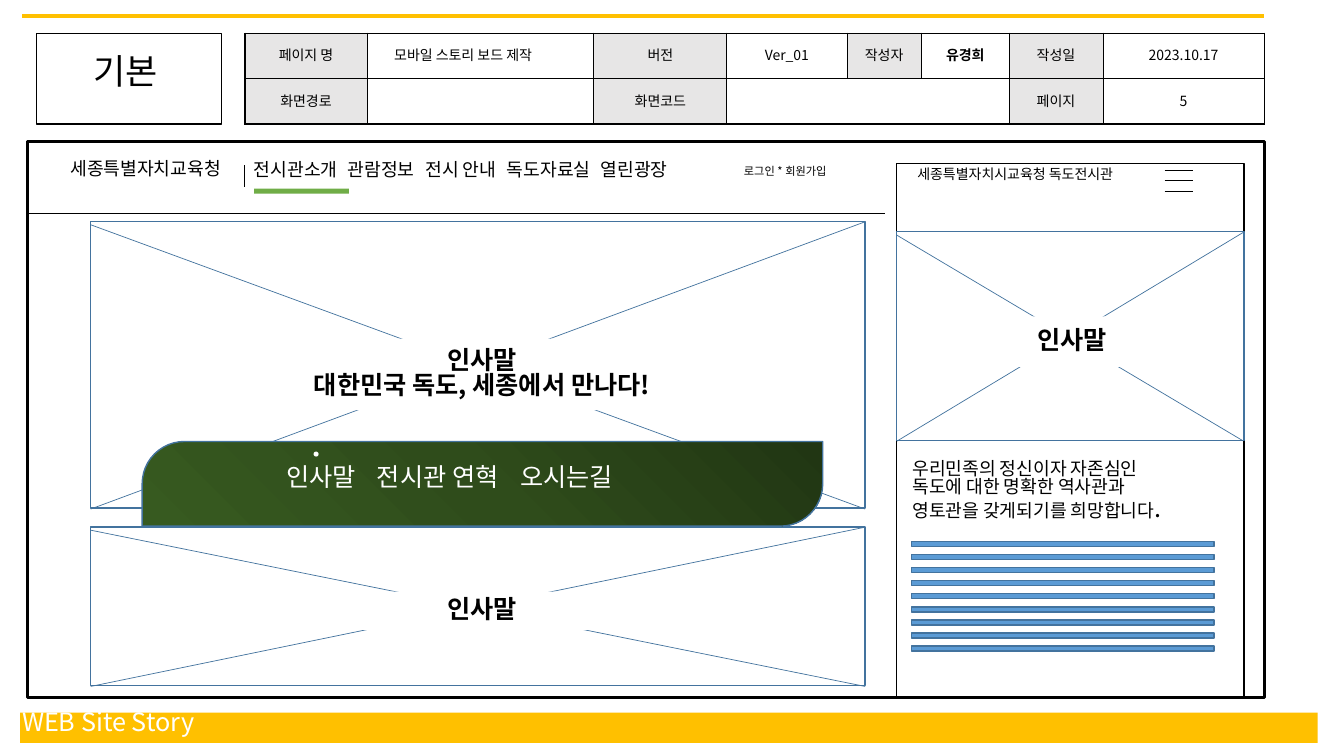
import pptx
import pptx.util
import pptx.dml.color
import pptx.enum.shapes
import pptx.enum.text
import pptx.oxml
import pptx.oxml.ns
from lxml import etree

Inches, Pt = pptx.util.Inches, pptx.util.Pt
RGB = pptx.dml.color.RGBColor.from_string
SHAPE = pptx.enum.shapes.MSO_SHAPE
ALIGN = pptx.enum.text.PP_ALIGN
ANCHOR = pptx.enum.text.MSO_ANCHOR
A = pptx.oxml.ns.nsdecls("a")
FONT = "Noto Sans CJK KR"
COLORS = {"black": "000000", "white": "FFFFFF", "amber": "FFC000", "gray": "E7E6E6",
          "steel": "43739E", "blue": "5B9BD5", "green": "70AD47"}

deck = pptx.Presentation()
deck.slide_width, deck.slide_height = Inches(13.33), Inches(7.5)
page = deck.slides.add_slide(deck.slide_layouts[6])


def add_panel(at, fill=None, line=None, weight=1, kind=SHAPE.RECTANGLE):
    panel = page.shapes.add_shape(kind, *map(Inches, at))
    panel.shadow.inherit = False
    if fill:
        panel.fill.solid()
        panel.fill.fore_color.rgb = RGB(COLORS[fill])
    else:
        panel.fill.background()
    if line:
        panel.line.color.rgb = RGB(COLORS[line])
        panel.line.width = Pt(weight)
    else:
        panel.line.fill.background()
    return panel


def write(frame, paragraphs, color="black", bold=False, align=ALIGN.LEFT, tabs=()):
    """Fill a text frame; each paragraph is a list of (text, size) runs, tabs are in inches."""
    frame.word_wrap = True
    for index, runs in enumerate(paragraphs):
        para = frame.paragraphs[0] if index == 0 else frame.add_paragraph()
        para.alignment = align
        para.line_spacing = 0.84
        if tabs:
            stops = "".join(f'<a:tab pos="{Inches(tab)}" algn="l"/>' for tab in tabs)
            para.line_spacing = 0.84
            para.runs or para._p.get_or_add_pPr().append(
                pptx.oxml.parse_xml(f"<a:tabLst {A}>{stops}</a:tabLst>"))
        for text, size in runs:
            span = para.add_run()
            span.text = text
            span.font.size = Pt(size)
            span.font.bold = bold
            span.font.name = FONT
            span.font.color.rgb = RGB(COLORS[color])
            east_asian = etree.SubElement(span.font._element, pptx.oxml.ns.qn("a:ea"))
            east_asian.set("typeface", FONT)


# Image placeholders: frame, caption mask, caption
photos = [
    ((0.9, 2.2, 7.68, 2.84), (2.83, 3.36, 3.9, 0.71), ["인사말", "대한민국 독도, 세종에서 만나다!"]),
    ((0.9, 5.23, 7.68, 1.57), (3.3, 5.87, 2.96, 0.38), ["인사말"]),
    ((8.89, 2.3, 3.45, 2.07), (9.97, 3.14, 1.33, 0.5), ["인사말"]),
]

# Rules, menu icon and placeholder diagonals
rules = [
    (0.22, 0.16, 12.54, 0.16, "amber", 3),
    (2.42, 1.64, 2.42, 1.86, "black", 0.5),
    (0.27, 2.12, 8.78, 2.12, "black", 0.5),
]
rules += [(11.55, y, 11.83, y, "black", 1) for y in (1.69, 1.79, 1.9)]
for (left, top, width, height), mask, caption in photos:
    right, bottom = left + width, top + height + 0.01
    rules.append((left, top + 0.03, right, bottom, "steel", 0.5))
    rules.append((right, top, left, bottom, "steel", 0.5))
for x1, y1, x2, y2, color, weight in rules:
    rule = page.shapes.add_connector(pptx.enum.shapes.MSO_CONNECTOR.STRAIGHT,
                                     Inches(x1), Inches(y1), Inches(x2), Inches(y2))
    rule.line.color.rgb = RGB(COLORS[color])
    rule.line.width = Pt(weight)
    etree.SubElement(rule._element.spPr, pptx.oxml.ns.qn("a:effectLst"))

# Header table
edges = [2.43, 3.64, 5.89, 7.21, 8.4, 9.14, 10.01, 10.94, 12.54]
rows = [
    ["페이지 명", "모바일 스토리 보드 제작", "버전", "Ver_01", "작성자", "유경희", "작성일", "2023.10.17"],
    ["화면경로", "", "화면코드", "", "", "", "페이지", "5"],
]
header = page.shapes.add_table(2, 8, Inches(2.43), Inches(0.33), Inches(10.11), Inches(0.9)).table
for column, (start, end) in enumerate(zip(edges, edges[1:])):
    header.columns[column].width = Inches(end - start)
header.cell(1, 3).merge(header.cell(1, 5))
for r, texts in enumerate(rows):
    for c, text in enumerate(texts):
        cell = header.cell(r, c)
        cell.margin_left = cell.margin_right = cell.margin_top = cell.margin_bottom = 0
        cell.vertical_anchor = ANCHOR.MIDDLE
        weights = {"lnL": 1 if c in (0, 3) else 0.5, "lnR": 1 if c in (2, 7) else 0.5,
                   "lnT": 1 if r == 0 else 0.5, "lnB": 1 if r == 1 else 0.5}
        for side, weight in weights.items():
            cell._tc.get_or_add_tcPr().append(pptx.oxml.parse_xml(
                f'<a:{side} {A} w="{Pt(weight)}"><a:solidFill>'
                f'<a:srgbClr val="{COLORS["black"]}"/></a:solidFill></a:{side}>'))
        labelled = c % 2 == 0 and text
        cell.fill.solid()
        cell.fill.fore_color.rgb = RGB(COLORS["gray" if labelled else "white"])
        if text:
            is_title = (r, c) == (0, 1)
            cell.margin_left = Inches(0.27 if is_title else 0)
            write(cell.text_frame, [[(text, 10)]], bold=text == "유경희",
                  align=ALIGN.LEFT if is_title else ALIGN.CENTER)

# Frames and bars
add_panel((0.36, 0.33, 1.84, 0.9), line="black")
add_panel((0.27, 1.4, 12.27, 5.52), line="black", weight=2.25)
add_panel((8.89, 1.62, 3.45, 5.3), line="black")
add_panel((0.2, 7.07, 12.87, 0.3), fill="amber")
add_panel((2.52, 1.87, 0.94, 0.05), fill="green")
for index in range(9):
    add_panel((9.04, 5.37 + 0.13 * index, 3, 0.05), fill="blue", line="steel")

for frame, mask, caption in photos:
    add_panel(frame, line="steel")
    label = add_panel(mask, fill="white")
    label.text_frame.vertical_anchor = ANCHOR.MIDDLE
    write(label.text_frame, [[(text, 18)] for text in caption], bold=True, align=ALIGN.CENTER)

# Submenu
submenu = add_panel((1.41, 4.38, 6.75, 0.84), fill="green", line="steel", kind=SHAPE.ROUND_2_DIAG_RECTANGLE)
submenu.adjustments[0], submenu.adjustments[1] = 0.5, 0
stops = "".join(f'<a:gs pos="{place}000"><a:srgbClr val="{color}"/></a:gs>'
                for place, color in ((0, "213613"), (50, "2F4C1B"), (100, "375A20")))
solid = submenu._element.spPr.find(pptx.oxml.ns.qn("a:solidFill"))
solid.getparent().replace(solid, pptx.oxml.parse_xml(
    f'<a:gradFill {A} rotWithShape="1"><a:gsLst>{stops}</a:gsLst><a:path path="circle">'
    '<a:fillToRect l="100000" b="100000"/></a:path></a:gradFill>'))
add_panel((3.11, 4.48, 0.05, 0.05), fill="white", kind=SHAPE.OVAL)

# Free text: place, paragraphs, colour, tab stops
texts = [
    ((0.83, 0.51, 1.06, 0.52), [[("기본", 25)]], "black", ()),
    ((0.12, 7.01, 3.22, 0.4), [[("WEB Site Story", 18)]], "white", ()),
    ((0.6, 1.55, 1.8, 0.32), [[("세종특별자치교육청", 13)]], "black", ()),
    ((2.42, 1.56, 4.99, 0.32), [[("전시관소개\t관람정보\t전시 안내\t독도자료실\t열린광장", 13)]],
     "black", (0.93, 1.7, 2.51, 3.44)),
    ((7.28, 1.6, 1.3, 0.24), [[("로그인 * 회원가입", 8)]], "black", ()),
    ((9, 1.62, 2.5, 0.27), [[("세종특별자치시교육청 독도전시관", 10)]], "black", ()),
    ((2.74, 4.58, 3.86, 0.4), [[("인사말\t전시관 연혁\t오시는길", 18)]], "white", (0.9, 2.32)),
    ((8.95, 4.52, 3.38, 0.84), [[("우리민족의 정신이자 자존심인", 13)], [("독도에 대한 명확한 역사관과", 13)],
                                [("영토관을 갖게되기를 희망합니다", 13), (".", 18)]], "black", ()),
]
for place, paragraphs, color, tabs in texts:
    box = page.shapes.add_textbox(*map(Inches, place))
    write(box.text_frame, paragraphs, color, tabs=tabs)

deck.save("out.pptx")
